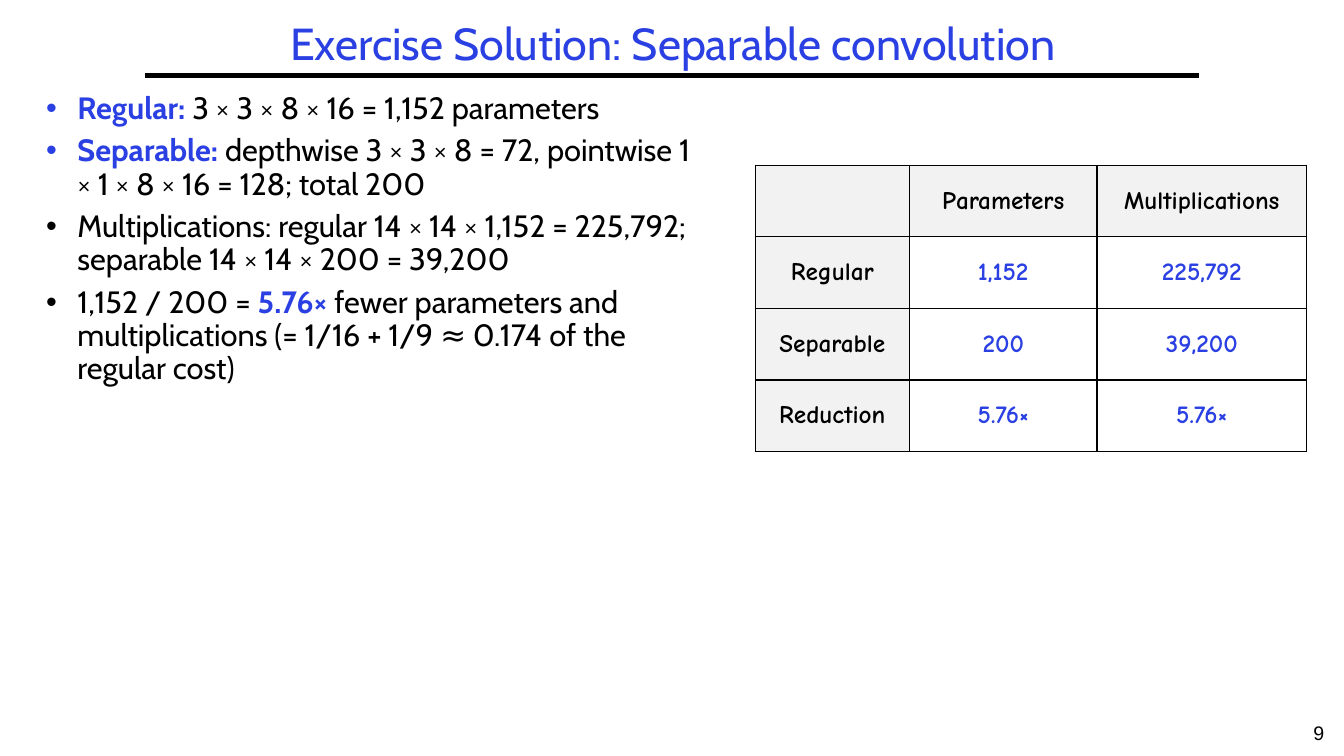
import pptx
import pptx.dml.color
import pptx.enum.text
import pptx.oxml
import pptx.oxml.ns
import pptx.util
from dataclasses import dataclass
from lxml import etree

Inches, Pt = pptx.util.Inches, pptx.util.Pt
RGB = pptx.dml.color.RGBColor.from_string
ALIGN, ANCHOR = pptx.enum.text.PP_ALIGN, pptx.enum.text.MSO_ANCHOR
qn = pptx.oxml.ns.qn


@dataclass
class Theme:
    ink: str = "000000"
    accent: str = "2A40E2"
    header: str = "F2F2F2"
    text_font: str = "Cabin"
    table_font: str = "Comic Neue"
    number_font: str = "Arial"
    title_size: int = 32
    body_size: int = 22
    table_size: int = 18
    number_size: int = 14


theme = Theme()


def add_text_frame(left, top, width, height):
    frame = slide.shapes.add_textbox(*map(Inches, (left, top, width, height))).text_frame
    frame.word_wrap = True
    return frame


def style(paragraph, font, size, color=None, bold=None):
    paragraph.font.name = font
    paragraph.font.size = Pt(size)
    paragraph.font.bold = bold
    if color:
        paragraph.font.color.rgb = RGB(color)


deck = pptx.Presentation()
deck.slide_width, deck.slide_height = Inches(13.33), Inches(7.5)
slide = deck.slides.add_slide(deck.slide_layouts[6])

# Rule under the title
rule = slide.shapes.add_connector(1, Inches(1.44), Inches(0.75), Inches(11.89), Inches(0.75))
rule.line.color.rgb = RGB(theme.ink)
rule.line.width = Pt(3)
etree.SubElement(rule._element.spPr, qn("a:effectLst"))

# Page number
number = add_text_frame(12.83, 7.1, 0.5, 0.4).paragraphs[0]
number.text = "9"
number.alignment = ALIGN.CENTER
style(number, theme.number_font, theme.number_size, theme.ink)

# Title
title_frame = add_text_frame(1.44, 0.17, 10.47, 0.58)
title_frame.vertical_anchor = ANCHOR.MIDDLE
title = title_frame.paragraphs[0]
title.text = "Exercise Solution: Separable convolution"
title.alignment = ALIGN.CENTER
title.line_spacing = 0.9
style(title, theme.text_font, theme.title_size, theme.accent)

# Solution bullets: runs of (text, highlighted)
solution = [
    [("Regular:", True), (" 3 × 3 × 8 × 16 = 1,152 parameters", False)],
    [("Separable:", True),
     (" depthwise 3 × 3 × 8 = 72, pointwise 1 × 1 × 8 × 16 = 128; total 200", False)],
    [("Multiplications: regular 14 × 14 × 1,152 = 225,792; "
      "separable 14 × 14 × 200 = 39,200", False)],
    [("1,152 / 200 = ", False), ("5.76×", True),
     (" fewer parameters and multiplications (= 1/16 + 1/9 ≈ 0.174 of the regular cost)", False)],
]
solution_frame = add_text_frame(0.36, 0.87, 6.78, 6.01)
for i, pieces in enumerate(solution):
    step = solution_frame.paragraphs[0] if i == 0 else solution_frame.add_paragraph()
    step.line_spacing = 0.9
    if i:
        step.space_before = Pt(0.3 * theme.body_size)
    props = step._p.get_or_add_pPr()
    props.set("marL", str(Inches(0.31)))
    props.set("indent", str(-Inches(0.31)))
    bullet_color = etree.SubElement(props, qn("a:buClr"))
    etree.SubElement(bullet_color, qn("a:srgbClr"),
                     val=theme.accent if pieces[0][1] else theme.ink)
    etree.SubElement(props, qn("a:buFont"), typeface="Arial")
    etree.SubElement(props, qn("a:buChar"), char="•")
    style(step, theme.text_font, theme.body_size)
    for text, highlighted in pieces:
        run = step.add_run()
        run.text = text
        run.font.bold = highlighted
        run.font.color.rgb = RGB(theme.accent if highlighted else theme.ink)

# Cost comparison table
costs = [
    ["", "Parameters", "Multiplications"],
    ["Regular", "1,152", "225,792"],
    ["Separable", "200", "39,200"],
    ["Reduction", "5.76×", "5.76×"],
]
table = slide.shapes.add_table(4, 3, Inches(7.49), Inches(1.64), Inches(5.47), Inches(2.84)).table
table.first_row = table.horz_banding = False
for column, width in zip(table.columns, (1.53, 1.86, 2.08)):
    column.width = Inches(width)
for r, values in enumerate(costs):
    table.rows[r].height = Inches(0.71)
    for c, value in enumerate(values):
        is_header = r == 0 or c == 0
        cell = table.cell(r, c)
        cell.vertical_anchor = ANCHOR.MIDDLE
        cell.margin_left = cell.margin_right = Inches(0.07)
        cell.margin_top = cell.margin_bottom = Inches(0.03)
        for side in ("a:lnL", "a:lnR", "a:lnT", "a:lnB"):
            border = etree.SubElement(cell._tc.get_or_add_tcPr(), qn(side), w=str(Pt(1)))
            border_fill = etree.SubElement(border, qn("a:solidFill"))
            etree.SubElement(border_fill, qn("a:srgbClr"), val=theme.ink)
        if is_header:
            cell.fill.solid()
            cell.fill.fore_color.rgb = RGB(theme.header)
        else:
            cell.fill.background()
        entry = cell.text_frame.paragraphs[0]
        entry.text = value
        entry.alignment = ALIGN.CENTER
        style(entry, theme.table_font, theme.table_size,
              theme.ink if is_header else theme.accent, True)

deck.save("out.pptx")
